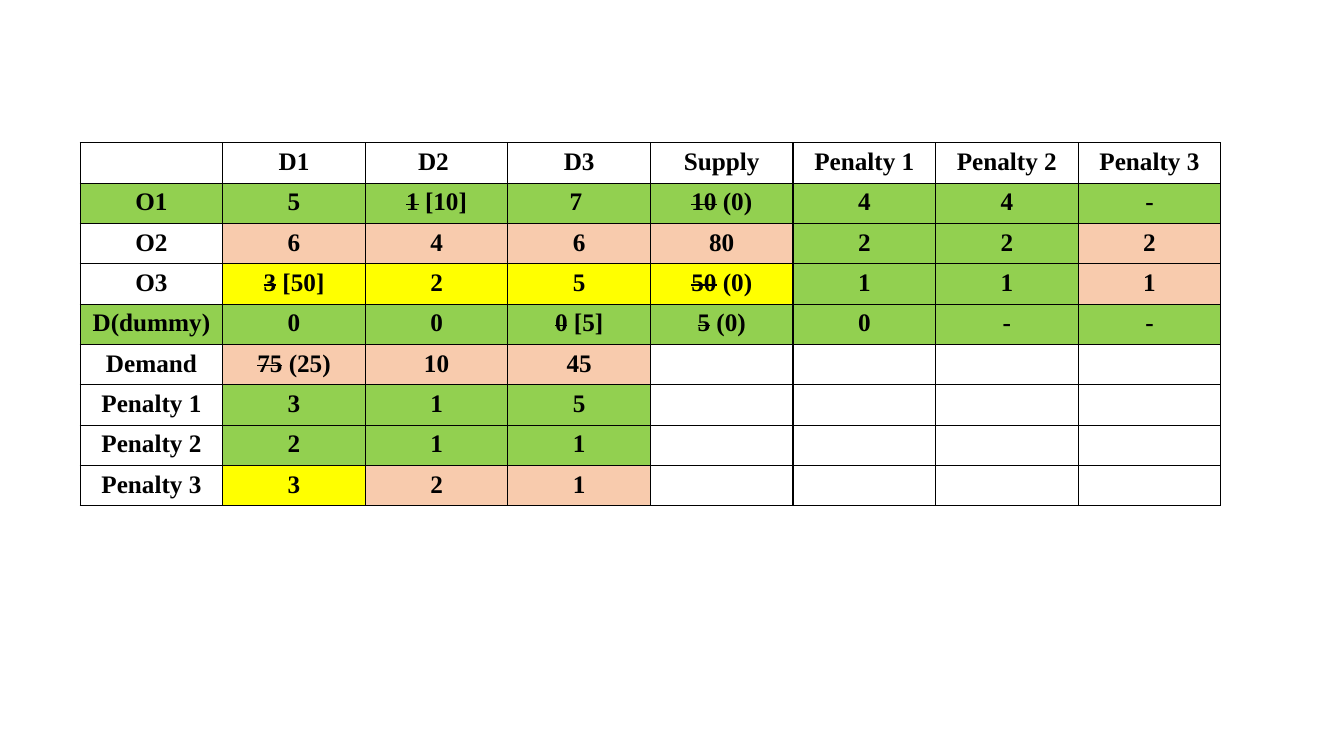
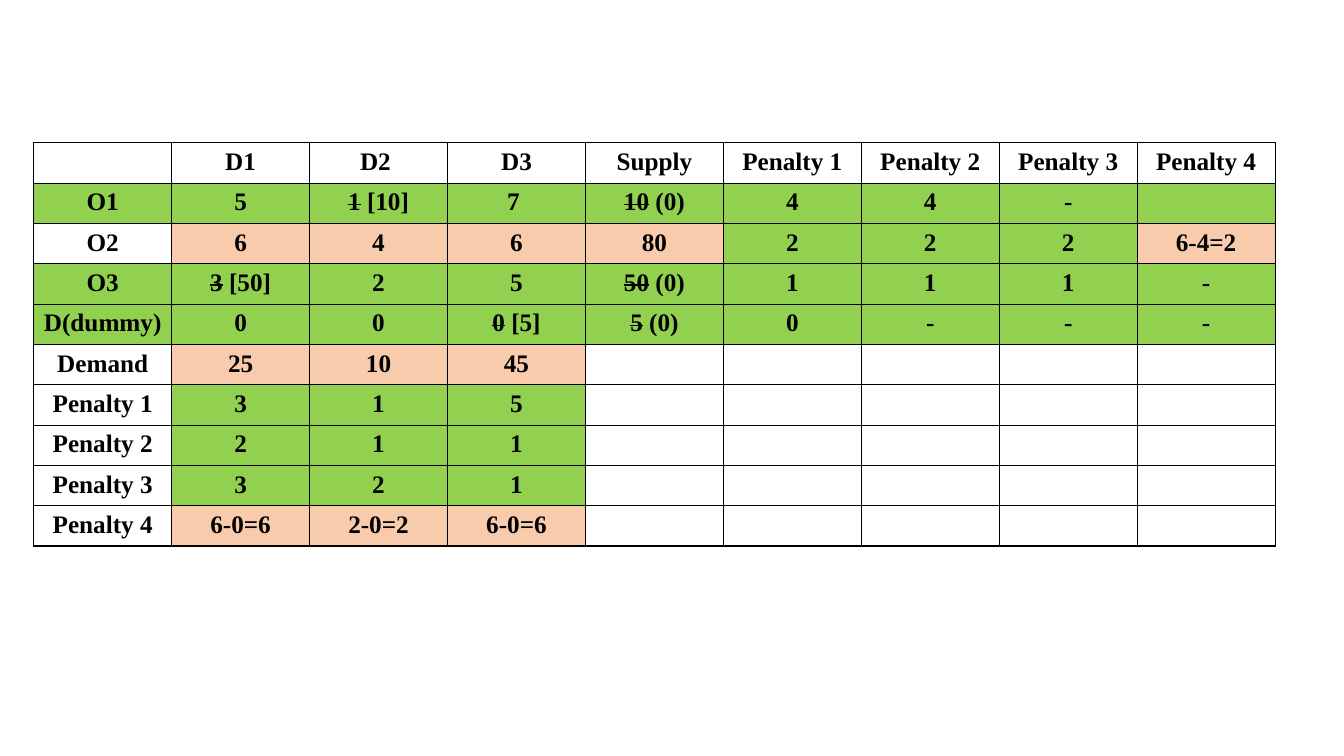
from dataclasses import dataclass, field

from lxml import etree
from pptx import Presentation
from pptx import util as u
from pptx.dml import color
from pptx.enum import text
from pptx.oxml import ns


@dataclass(frozen=True)
class Theme:
    ink: str = "000000"
    border: u.Length = u.Pt(1)
    top: u.Length = u.Cm(3.6)
    row_height: int = u.Cm(10.16) // 10
    fills: dict = field(default_factory=lambda: {
        "w": "FFFFFF", "g": "92D050", "p": "F8CBAD", "y": "FFFF00"})
    font: dict = field(default_factory=lambda: {
        "name": "Times New Roman", "size": u.Pt(18), "bold": True})
    cell: dict = field(default_factory=lambda: {
        "margin_left": u.Cm(0.19), "margin_right": u.Cm(0.19),
        "margin_top": u.Cm(0.13), "margin_bottom": 0,
        "vertical_anchor": text.MSO_ANCHOR.TOP})


THEME = Theme()

# Transport problem after four penalty rounds; ~x~ marks struck-out text
FINAL_ROUND = 4
ALLOCATION = [line.split("|") for line in (
    "|D1|D2 |D3|Supply|Penalty 1|Penalty 2|Penalty 3|Penalty 4",
    "O1|5|~1~ [10]|7 |~10~ (0)|4|4|-|",
    "O2|6|4|6|80|2|2|2|6-4=2",
    "O3|~3~ [50]|2|5|~50~ (0)|1|1|1|-",
    "D(dummy)|0|0|~0~ [5]|~5~ (0)|0|-|-|-",
    "Demand|{demand}|10|45|||||",
    "Penalty 1|3|1|5|||||",
    "Penalty 2|2|1|1|||||",
    "Penalty 3|3|2|1|||||",
    "Penalty 4|6-0=6|2-0=2|6-0=6|||||",
)]

# One fill letter per cell; the rest of a row is white
SLIDES = [
    {"rounds": 3, "demand": "~75~ (25)", "left": u.Cm(2.02), "width": u.Cm(28.75),
     "shades": ["", "g" * 8, "wppppggp", "wyyyyggp", "g" * 8,
                "wppp", "wggg", "wggg", "wypp"]},
    {"rounds": 4, "demand": "25", "left": u.Cm(0.85), "width": u.Cm(31.29),
     "shades": ["", "g" * 9, "wppppgggp", "g" * 9, "g" * 9,
                "wppp", "wggg", "wggg", "wggg", "wppp"]},
]


def apply_format(target, values):
    for name, value in values.items():
        setattr(target, name, value)


def add_borders(cell):
    properties = cell._tc.get_or_add_tcPr()
    for index, side in enumerate(("lnL", "lnR", "lnT", "lnB")):
        line = etree.Element(ns.qn("a:" + side), w=str(THEME.border))
        fill = etree.SubElement(line, ns.qn("a:solidFill"))
        etree.SubElement(fill, ns.qn("a:srgbClr"), val=THEME.ink)
        properties.insert(index, line)


def write_text(cell, content):
    para = cell.text_frame.paragraphs[0]
    para.alignment = text.PP_ALIGN.CENTER
    for index, part in enumerate(content.split("~")):
        if not part:
            continue
        span = para.add_run()
        span.text = part
        apply_format(span.font, THEME.font)
        span.font.color.rgb = color.RGBColor.from_string(THEME.ink)
        if index % 2:
            span._r.get_or_add_rPr().set("strike", "sngStrike")


def fill_cell(cell, content, shade):
    apply_format(cell, THEME.cell)
    cell.fill.solid()
    cell.fill.fore_color.rgb = color.RGBColor.from_string(THEME.fills[shade])
    add_borders(cell)
    write_text(cell, content)


def add_allocation_table(page, rounds, demand, left, width, shades):
    # Later rounds add one row and one column each
    hidden = FINAL_ROUND - rounds
    rows = [row[:len(row) - hidden]
            for row in ALLOCATION[:len(ALLOCATION) - hidden]]
    columns = len(rows[0])
    table = page.shapes.add_table(len(rows), columns, left, THEME.top, width,
                                  THEME.row_height * len(rows)).table
    apply_format(table, {"first_row": False, "horz_banding": False})
    for row_index, (row, shade) in enumerate(zip(rows, shades)):
        for column, (content, letter) in enumerate(zip(row, shade.ljust(columns, "w"))):
            fill_cell(table.cell(row_index, column),
                      content.format(demand=demand), letter)


def main():
    deck = Presentation()
    deck.slide_width, deck.slide_height = u.Cm(33.87), u.Cm(19.05)
    for settings in SLIDES:
        page = deck.slides.add_slide(deck.slide_layouts[6])
        add_allocation_table(page, **settings)
    deck.save("out.pptx")


main()
